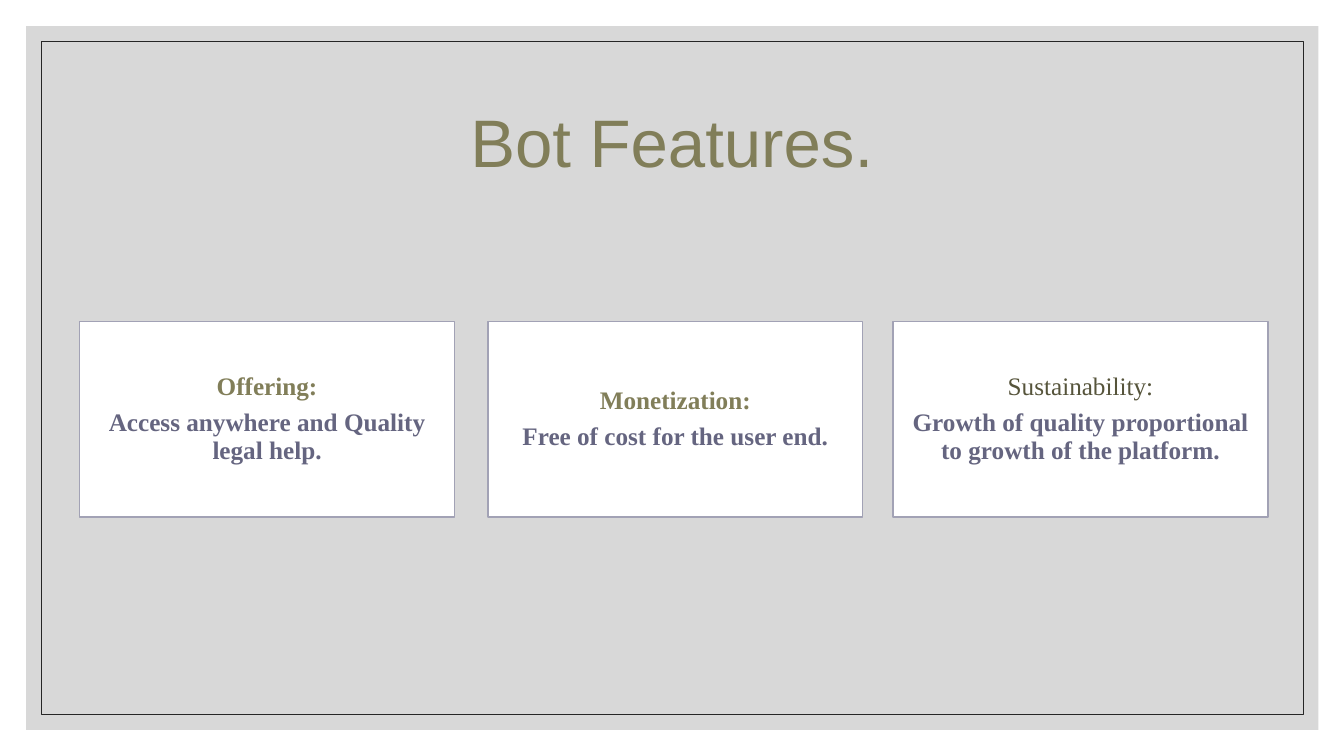
from dataclasses import dataclass

from lxml.etree import SubElement
from pptx import Presentation
from pptx.dml.color import RGBColor
from pptx.enum.shapes import MSO_SHAPE as Shape
from pptx.enum.text import MSO_ANCHOR as Anchor, PP_ALIGN as Align
from pptx.oxml.ns import qn
from pptx.util import Pt

PAGE_WIDTH, PAGE_HEIGHT = 960, 540
OLIVE, DARK_OLIVE, SLATE = "817E59", "56543B", "656580"
CARD_TOP, CARD_WIDTH, CARD_HEIGHT = 229.7, 267.8, 139.7


@dataclass
class Card:
    left: float
    heading: str
    body: str
    heading_color: str = OLIVE
    heading_bold: bool = True


CARDS = [
    Card(56.9, "Offering:", "Access anywhere and Quality legal help."),
    Card(348.5, "Monetization:", "Free of cost for the user end."),
    Card(637.9, "Sustainability:", "Growth of quality proportional to growth of the platform.",
         DARK_OLIVE, False),
]


def rgb(color: str) -> RGBColor:
    return RGBColor.from_string(color)


def add_box(page, left: float, top: float, width: float, height: float,
            fill: str | None = None, line: str | None = None, line_width: float = 1):
    box = page.shapes.add_shape(Shape.RECTANGLE, Pt(left), Pt(top), Pt(width), Pt(height))
    box.shadow.inherit = False
    if fill:
        box.fill.solid()
        box.fill.fore_color.rgb = rgb(fill)
    else:
        box.fill.background()
    if line:
        box.line.color.rgb = rgb(line)
        box.line.width = Pt(line_width)
    else:
        box.line.fill.background()
    return box


def format_para(para, text: str, font: str, size: float, color: str, bold: bool = False) -> None:
    para.text = text
    para.alignment = Align.CENTER
    para.line_spacing = 0.9
    para.font.name = font
    para.font.size = Pt(size)
    para.font.bold = bold
    para.font.color.rgb = rgb(color)


def add_card(page, card: Card) -> None:
    box = add_box(page, card.left, CARD_TOP, CARD_WIDTH, CARD_HEIGHT, "FFFFFF", "A2A2B5")
    frame = box.text_frame
    frame.word_wrap = True
    frame.vertical_anchor = Anchor.MIDDLE
    frame.margin_left = frame.margin_right = Pt(5.4)
    frame.margin_top = frame.margin_bottom = Pt(5)
    heading = frame.paragraphs[0]
    format_para(heading, card.heading, "Times New Roman", 18, card.heading_color,
                card.heading_bold)
    heading.space_after = Pt(6.3)
    format_para(frame.add_paragraph(), card.body, "Times New Roman", 18, SLATE, True)


def add_backdrop(page, title) -> None:
    panel = add_box(page, 18.7, 18.7, 923, 502.6, "BFBFBF")
    tint = panel.element.spPr.find(qn("a:solidFill"))[0]
    SubElement(tint, qn("a:alpha"), val="60000")
    border = add_box(page, 29.5, 29.5, 901.4, 481, line="262626", line_width=0.5)
    # Keep the backdrop behind the title
    for box in (panel, border):
        title.element.addprevious(box.element)


def main() -> None:
    deck = Presentation()
    deck.slide_width, deck.slide_height = Pt(PAGE_WIDTH), Pt(PAGE_HEIGHT)
    page = deck.slides.add_slide(deck.slide_layouts[5])

    # Title
    title = page.shapes.title
    title.left, title.top, title.width, title.height = Pt(84), Pt(50.4), Pt(792), Pt(108)
    title.text_frame.vertical_anchor = Anchor.MIDDLE
    format_para(title.text_frame.paragraphs[0], "Bot Features.", "Arial", 48, OLIVE)

    # Panel and border
    add_backdrop(page, title)

    # Feature cards
    for card in CARDS:
        add_card(page, card)

    deck.save("out.pptx")


if __name__ == "__main__":
    main()
